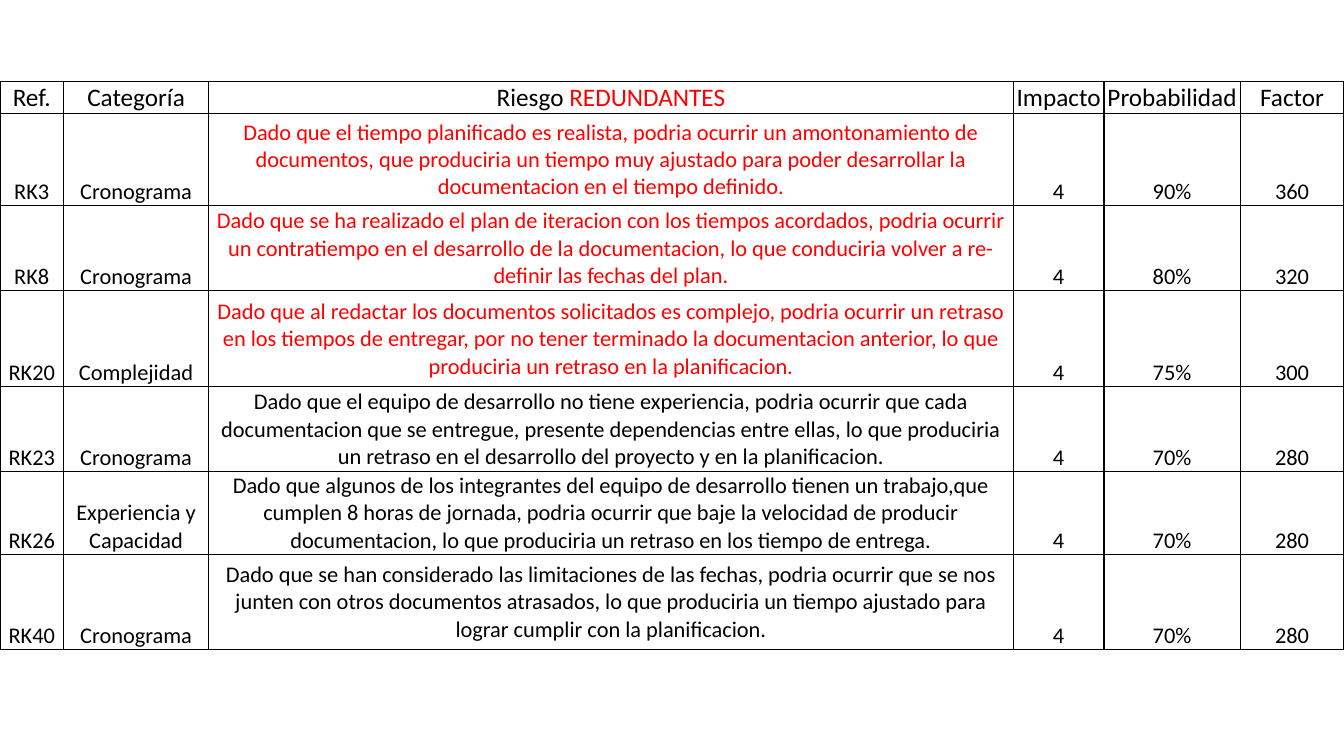
from lxml import etree
from pptx import Presentation
from pptx import util as u
from pptx.dml.color import RGBColor
from pptx.enum import text
from pptx.oxml import ns

BLACK, RED = "000000", "FF0000"


def write_cell(cell, *runs, size=16, anchor=text.MSO_ANCHOR.BOTTOM):
    """Fill a cell with centred (words, colour) runs."""
    cell.margin_left = cell.margin_right = cell.margin_top = u.Inches(0.01)
    cell.margin_bottom = 0
    cell.vertical_anchor = anchor
    paragraph = cell.text_frame.paragraphs[0]
    paragraph.alignment = text.PP_ALIGN.CENTER
    for words, color in runs:
        run = paragraph.add_run()
        run.text = words
        run.font.name = "Calibri"
        run.font.size = u.Pt(size)
        run.font.color.rgb = RGBColor.from_string(color)


def add_borders(cell, color=BLACK, width=1):
    properties = cell._tc.get_or_add_tcPr()
    for side in ("lnL", "lnR", "lnT", "lnB"):
        line = etree.SubElement(properties, ns.qn(f"a:{side}"), w=str(u.Pt(width)))
        fill = etree.SubElement(line, ns.qn("a:solidFill"))
        etree.SubElement(fill, ns.qn("a:srgbClr"), val=color)


presentation = Presentation()
presentation.slide_width = u.Inches(13.33)
presentation.slide_height = u.Inches(7.5)
slide = presentation.slides.add_slide(presentation.slide_layouts[6])

# Content: reference, category, risk, risk colour, impact, probability in percent
risks = [
    ("RK3", "Cronograma",
     "Dado que el tiempo planificado es realista, podria ocurrir un amontonamiento de "
     "documentos, que produciria un tiempo muy ajustado para poder desarrollar la "
     "documentacion en el tiempo definido.", RED, 4, 90),
    ("RK8", "Cronograma",
     "Dado que se ha realizado el plan de iteracion con los tiempos acordados, podria ocurrir "
     "un contratiempo en el desarrollo de la documentacion, lo que conduciria volver a "
     "re-definir las fechas del plan.", RED, 4, 80),
    ("RK20", "Complejidad",
     "Dado que al redactar los documentos solicitados es complejo, podria ocurrir un retraso "
     "en los tiempos de entregar, por no tener terminado la documentacion anterior, lo que "
     "produciria un retraso en la planificacion.", RED, 4, 75),
    ("RK23", "Cronograma",
     "Dado que el equipo de desarrollo no tiene experiencia, podria ocurrir que cada "
     "documentacion que se entregue, presente dependencias entre ellas, lo que produciria "
     "un retraso en el desarrollo del proyecto y en la planificacion.", BLACK, 4, 70),
    ("RK26", "Experiencia y Capacidad",
     "Dado que algunos de los integrantes del equipo de desarrollo tienen un trabajo,que "
     "cumplen 8 horas de jornada, podria ocurrir que baje la velocidad de producir "
     "documentacion, lo que produciria un retraso en los tiempo de entrega.", BLACK, 4, 70),
    ("RK40", "Cronograma",
     "Dado que se han considerado las limitaciones de las fechas, podria ocurrir que se nos "
     "junten con otros documentos atrasados, lo que produciria un tiempo ajustado para "
     "lograr cumplir con la planificacion.", BLACK, 4, 70),
]
headers = ["Ref.", "Categoría", "Riesgo ", "Impacto", "Probabilidad", "Factor"]
column_widths = [0.63, 1.44, 7.98, 0.9, 1.35, 1.03]
row_heights = [0.26, 0.91, 0.85, 0.95, 0.84, 0.7, 0.94]

# Table grid
table = slide.shapes.add_table(
    len(row_heights), len(column_widths), u.Inches(0), u.Inches(0.81),
    u.Inches(sum(column_widths)), u.Inches(sum(row_heights))).table
table.first_row = table.horz_banding = False
for column, width in zip(table.columns, column_widths):
    column.width = u.Inches(width)
for row, height in zip(table.rows, row_heights):
    row.height = u.Inches(height)
for cell in table.iter_cells():
    add_borders(cell)
    cell.fill.background()

# Header row
for index, header in enumerate(headers):
    runs = [(header, BLACK)]
    if header == "Riesgo ":
        runs.append(("REDUNDANTES", RED))
    write_cell(table.cell(0, index), *runs, size=18)

# Risk rows: the factor is impact times probability
for row, (reference, category, risk, color, impact, probability) in enumerate(risks, 1):
    write_cell(table.cell(row, 0), (reference, BLACK))
    write_cell(table.cell(row, 1), (category, BLACK))
    write_cell(table.cell(row, 2), (risk, color), anchor=text.MSO_ANCHOR.MIDDLE)
    write_cell(table.cell(row, 3), (str(impact), BLACK))
    write_cell(table.cell(row, 4), (f"{probability}%", BLACK))
    write_cell(table.cell(row, 5), (str(impact * probability), BLACK))

presentation.save("out.pptx")
